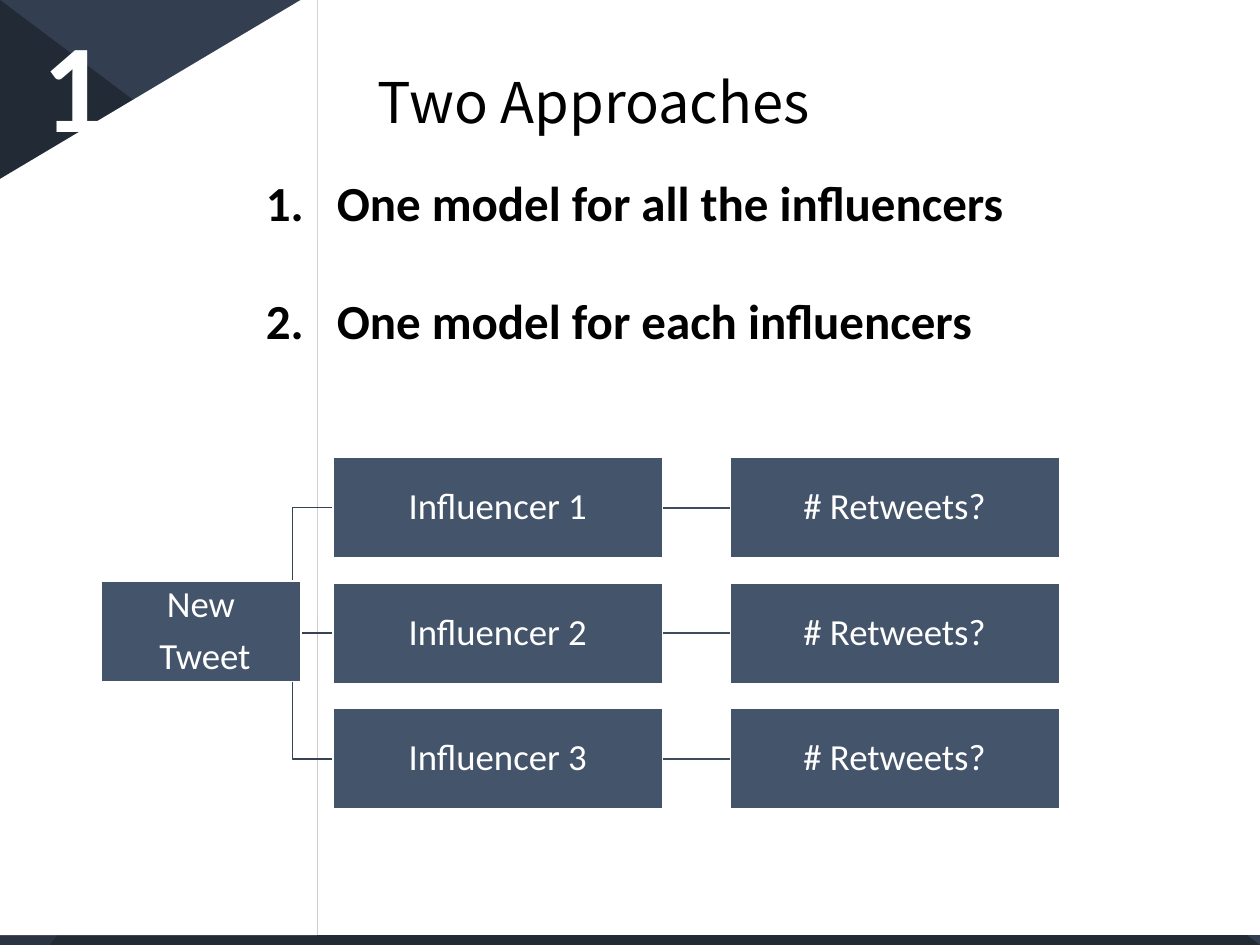
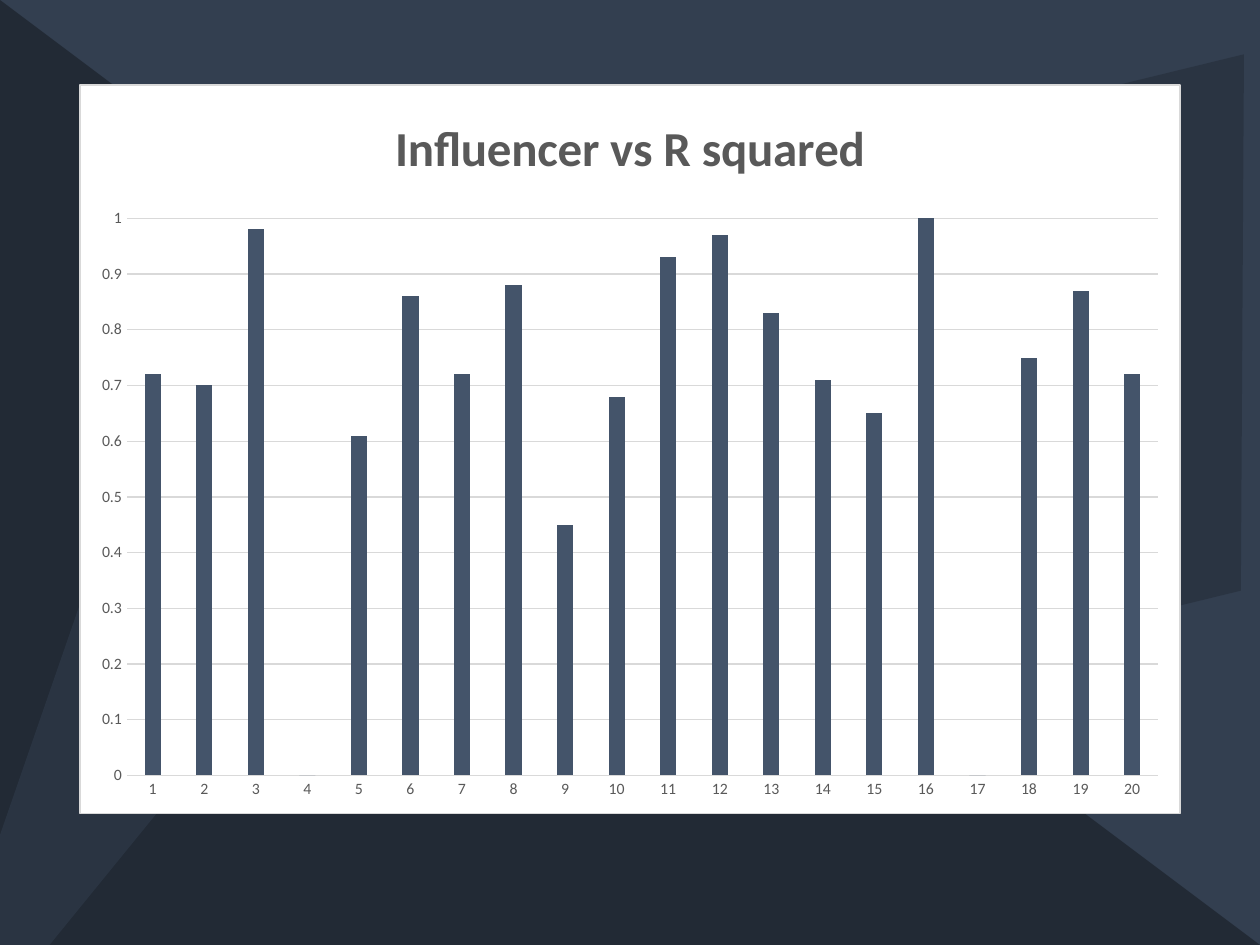
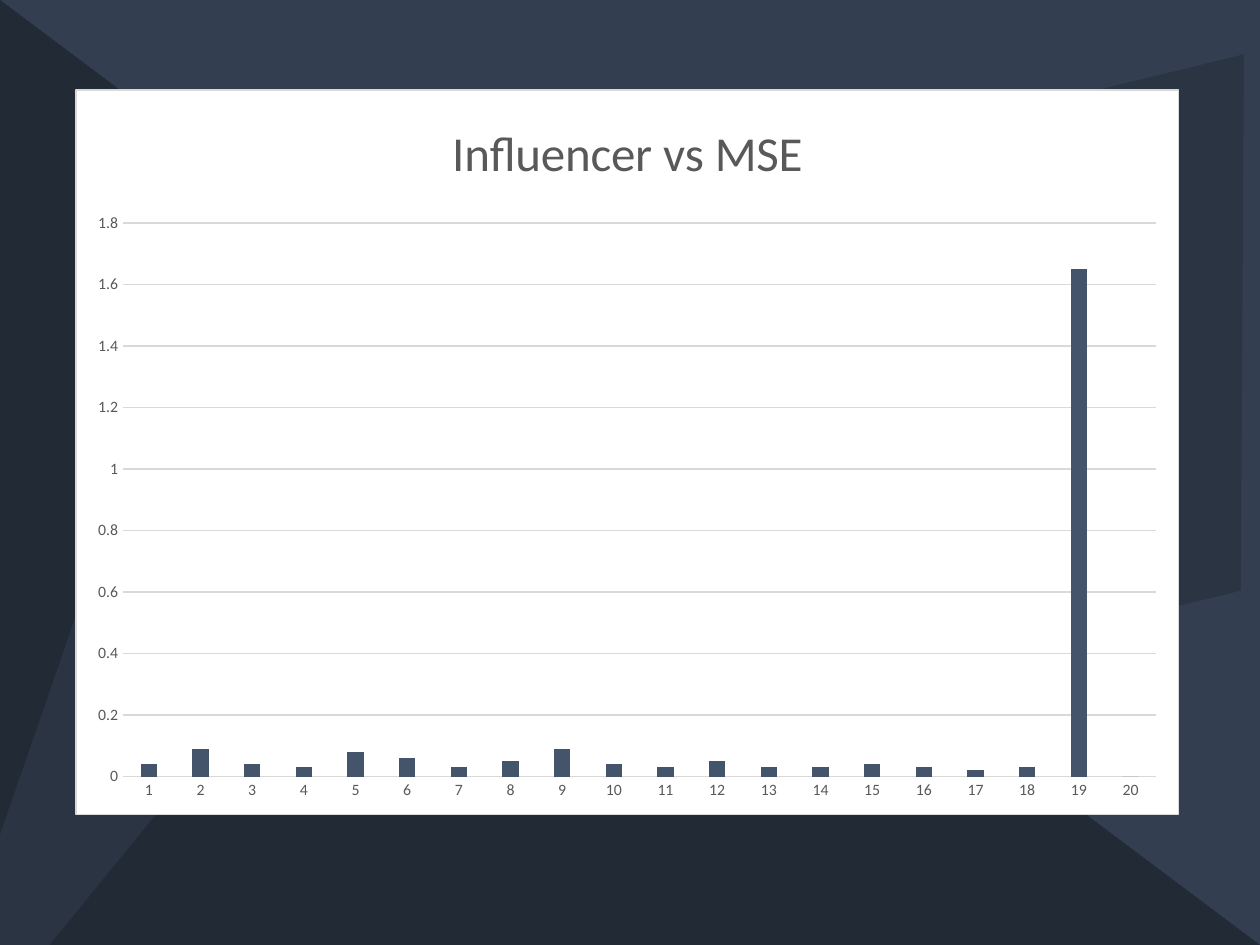
from lxml import etree
from pptx import Presentation
from pptx.chart.data import CategoryChartData
from pptx.dml.color import RGBColor
from pptx.enum.chart import XL_CHART_TYPE, XL_TICK_MARK
from pptx.enum.shapes import MSO_CONNECTOR, MSO_SHAPE
from pptx.enum.text import MSO_ANCHOR, PP_ALIGN
from pptx.oxml import parse_xml
from pptx.oxml.ns import nsdecls, qn
from pptx.util import Cm, Pt

COLUMN = XL_CHART_TYPE.COLUMN_CLUSTERED
NO_TICK = XL_TICK_MARK.NONE
STRAIGHT, ELBOW = MSO_CONNECTOR.STRAIGHT, MSO_CONNECTOR.ELBOW
RECT, TRIANGLE = MSO_SHAPE.RECTANGLE, MSO_SHAPE.ISOSCELES_TRIANGLE
PARALLELOGRAM, SLOPED = MSO_SHAPE.PARALLELOGRAM, MSO_SHAPE.FLOWCHART_MANUAL_INPUT
MIDDLE, CENTER = MSO_ANCHOR.MIDDLE, PP_ALIGN.CENTER

W, H = 25.4, 19.05
NAVY, DARK, SLATE = "333F50", "222A35", "44546A"
WHITE, BLACK, GREY, RULE = "FFFFFF", "000000", "595959", "D9D9D9"
BODY, HEAD = "Calibri", "Noto Sans CJK SC"

R_SQUARED = [0.72, 0.7, 0.98, 0, 0.61, 0.86, 0.72, 0.88, 0.45, 0.68,
             0.93, 0.97, 0.83, 0.71, 0.65, 1, 0, 0.75, 0.87, 0.72]
MSE = [0.04, 0.09, 0.04, 0.03, 0.08, 0.06, 0.03, 0.05, 0.09, 0.04,
       0.03, 0.05, 0.03, 0.03, 0.04, 0.03, 0.02, 0.03, 1.65, 0]


def rgb(color):
    """Turn a hex string into a colour."""
    return RGBColor.from_string(color)


def set_font(font, size, color, bold=False, name=BODY):
    """Set size, colour, weight and typeface of a font."""
    font.size, font.bold, font.name = Pt(size), bold, name
    font.color.rgb = rgb(color)


def set_line(line, color, width):
    """Give a line its colour and its width in points."""
    line.color.rgb = rgb(color)
    line.width = Pt(width)


class Deck:
    """Hold the presentation, its style and the current slide."""

    def __init__(self):
        """Start an empty presentation."""
        self.prs = Presentation()
        self.prs.slide_width, self.prs.slide_height = Cm(W), Cm(H)
        self.s = None

    def slide(self):
        """Add a slide with the faceted background."""
        self.s = self.prs.slides.add_slide(self.prs.slide_layouts[6])
        fill = self.s.background.fill
        fill.solid()
        fill.fore_color.rgb = rgb(NAVY)
        self.shape(TRIANGLE, 0, 0, W, H, DARK, adj=0)
        self.shape(PARALLELOGRAM, -1.35, 4.27, 28.07, 10.49, DARK, rot=346.3, alpha=50)
        self.shape(TRIANGLE, 2.26, -2.95, 10.31, 28.24, NAVY, adj=1, rot=199.1, alpha=50)

    def shape(self, kind, x, y, w, h, color, adj=None, rot=0, alpha=100):
        """Add a flat preset shape without outline."""
        sp = self.s.shapes.add_shape(kind, Cm(x), Cm(y), Cm(w), Cm(h))
        sp.shadow.inherit = False
        sp.rotation = rot
        sp.fill.solid()
        sp.fill.fore_color.rgb = rgb(color)
        sp.line.fill.background()
        if adj is not None:
            sp.adjustments[0] = adj
        if alpha < 100:
            clr = sp.element.spPr.find(".//" + qn("a:srgbClr"))
            etree.SubElement(clr, qn("a:alpha"), val=str(alpha * 1000))
        return sp

    def text(self, x, y, w, h, text, size, color, bold=False, name=BODY):
        """Add a text box and return its paragraphs."""
        tf = self.s.shapes.add_textbox(Cm(x), Cm(y), Cm(w), Cm(h)).text_frame
        tf.word_wrap = True
        tf.text = text
        for p in tf.paragraphs:
            set_font(p.runs[0].font, size, color, bold, name)
        return tf.paragraphs

    def numbered(self, x, y, w, h, items, size, gap):
        """Add a bold numbered list with a gap in points after each item."""
        for p in self.text(x, y, w, h, "\n".join(items), size, BLACK, bold=True):
            p.space_after = Pt(gap)
            pPr = p._p.get_or_add_pPr()
            pPr.set("marL", str(Cm(1.43)))
            pPr.set("indent", str(-Cm(1.43)))
            etree.SubElement(pPr, qn("a:buFont"), typeface="+mj-lt")
            etree.SubElement(pPr, qn("a:buAutoNum"), type="arabicPeriod")

    def node(self, x, y, w, h, text):
        """Add a labelled diagram box."""
        sp = self.shape(RECT, x, y, w, h, SLATE)
        set_line(sp.line, WHITE, 1)
        tf = sp.text_frame
        tf.word_wrap = True
        tf.vertical_anchor = MIDDLE
        tf.margin_left = tf.margin_right = tf.margin_top = tf.margin_bottom = Cm(0.03)
        tf.text = text
        for p in tf.paragraphs:
            p.alignment, p.line_spacing, p.space_after = CENTER, 0.9, Pt(7)
            set_font(p.runs[0].font, 21, WHITE)
        return sp

    def connector(self, kind, color, x1=0, y1=0, x2=0, y2=0):
        """Add a thin connector without shadow."""
        c = self.s.shapes.add_connector(kind, Cm(x1), Cm(y1), Cm(x2), Cm(y2))
        set_line(c.line, color, 1)
        etree.SubElement(c.element.spPr, qn("a:effectLst"))
        return c

    def join(self, left, right):
        """Join the facing sides of two boxes."""
        c = self.connector(STRAIGHT, "3E4C60")
        c.begin_connect(left, 3)
        c.end_connect(right, 1)

    def columns(self, x, y, w, h, title, values, bold=False, top=None):
        """Add a column chart on a white panel."""
        data = CategoryChartData()
        data.categories = [str(i + 1) for i in range(len(values))]
        data.add_series("Series 1", values)
        chart = self.s.shapes.add_chart(COLUMN, Cm(x), Cm(y), Cm(w), Cm(h), data).chart
        chart.has_legend = False
        set_font(chart.font, 10, BLACK)
        panel = parse_xml(
            f'<c:spPr {nsdecls("c", "a")}>'
            f'<a:solidFill><a:srgbClr val="{WHITE}"/></a:solidFill>'
            f'<a:ln w="{Pt(0.75)}"><a:solidFill><a:srgbClr val="{RULE}"/></a:solidFill></a:ln>'
            '</c:spPr>')
        chart.element.find(qn("c:chart")).addnext(panel)
        tf = chart.chart_title.text_frame
        tf.text = title
        set_font(tf.paragraphs[0].runs[0].font, 28, GREY, bold)
        for axis in (chart.category_axis, chart.value_axis):
            axis.major_tick_mark = axis.minor_tick_mark = NO_TICK
            set_font(axis.tick_labels.font, 9, GREY)
        set_line(chart.category_axis.format.line, RULE, 0.75)
        axis = chart.value_axis
        axis.format.line.fill.background()
        set_line(axis.major_gridlines.format.line, RULE, 0.75)
        if top is not None:
            axis.maximum_scale = top
        plot = chart.plots[0]
        plot.gap_width, plot.overlap, plot.vary_by_categories = 219, -27, False
        fill = plot.series[0].format.fill
        fill.solid()
        fill.fore_color.rgb = rgb(SLATE)


def approaches(deck):
    """Build the slide with both approaches and the tweet tree."""
    deck.slide()
    deck.shape(SLOPED, 0, -0.2, 6.4, H, WHITE)
    deck.shape(RECT, 6.4, -0.2, W - 6.4, H, WHITE)
    deck.text(7.37, 1.24, 13.26, 1.63, "Two Approaches", 32, BLACK, name=HEAD)
    deck.numbered(5.11, 3.35, 15.52, 7.01, ["One model for all the influencers",
                                            "One model for each influencers"], 28, 34)
    w, h = 6.65, 2.03
    rows = [9.22 + 2.53 * i for i in range(3)]
    root_y = 11.71
    for y in rows:
        deck.connector(ELBOW, "364355", 5.08, root_y + h / 2, 6.71, y + h / 2)
    deck.node(2.03, root_y, 4.04, h, "New\n Tweet")
    for i, y in enumerate(rows):
        influencer = deck.node(6.71, y, w, h, f"Influencer {i + 1}")
        retweets = deck.node(14.71, y, w, h, "# Retweets?")
        deck.join(influencer, retweets)
    deck.text(0.61, 0, 1.42, 3.33, "1", 72, WHITE, bold=True)


def main():
    """Build and save the deck."""
    deck = Deck()
    approaches(deck)
    deck.slide()
    deck.columns(1.6, 1.7, 22.2, 14.71, "Influencer vs R squared", R_SQUARED, bold=True, top=1)
    deck.slide()
    deck.columns(1.52, 1.8, 22.25, 14.63, "Influencer vs MSE", MSE)
    deck.prs.save("out.pptx")


if __name__ == "__main__":
    main()
